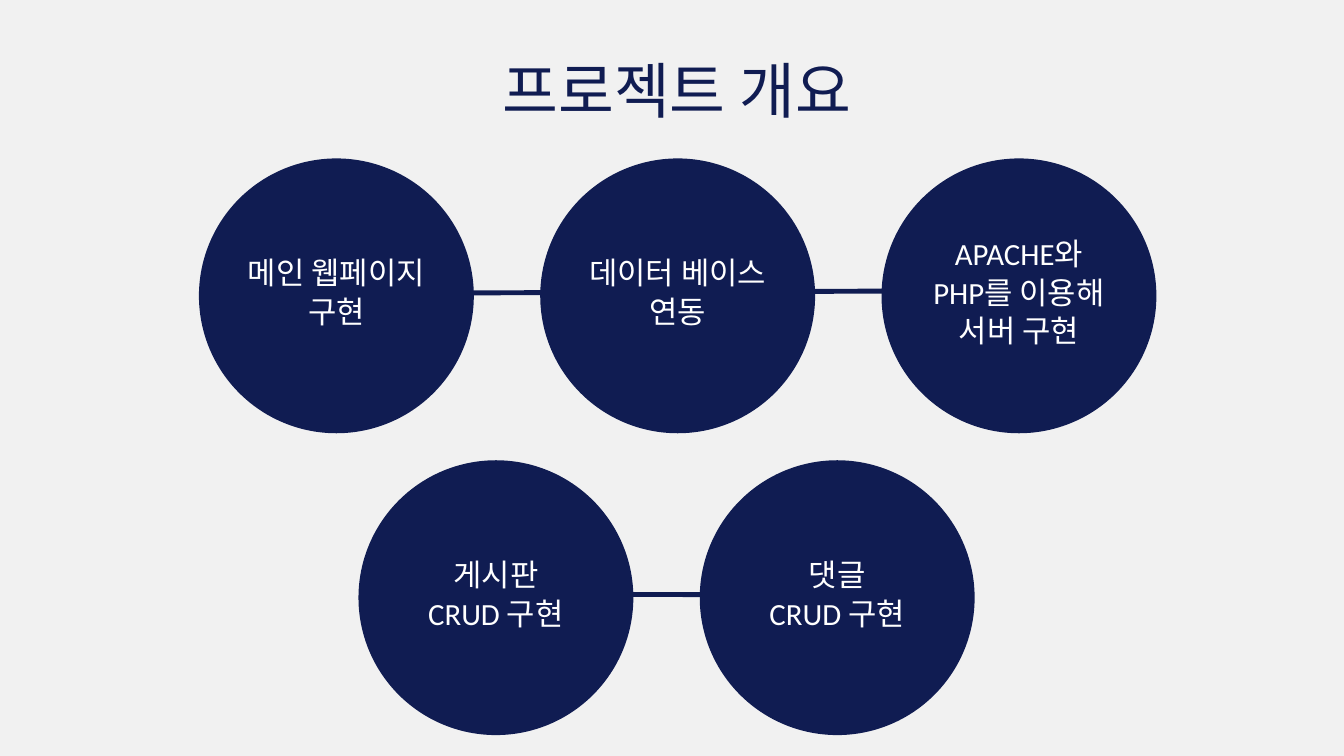
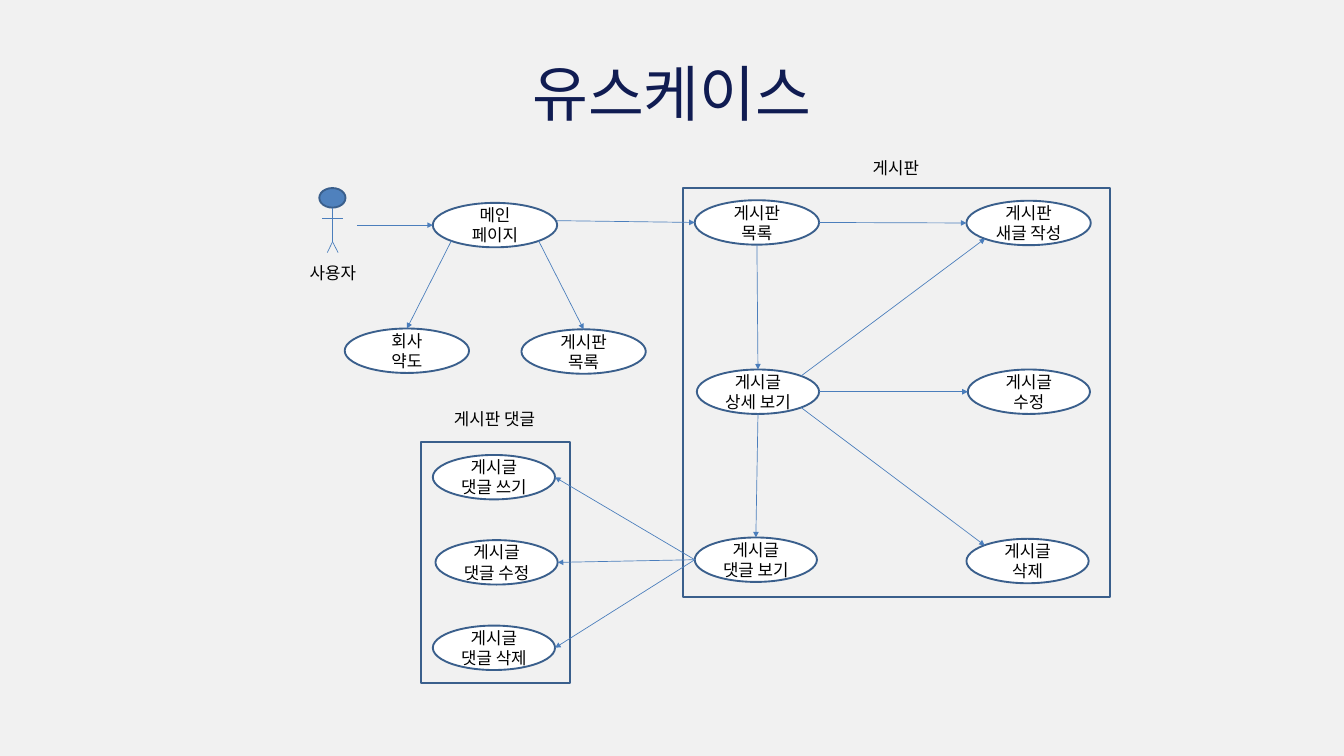
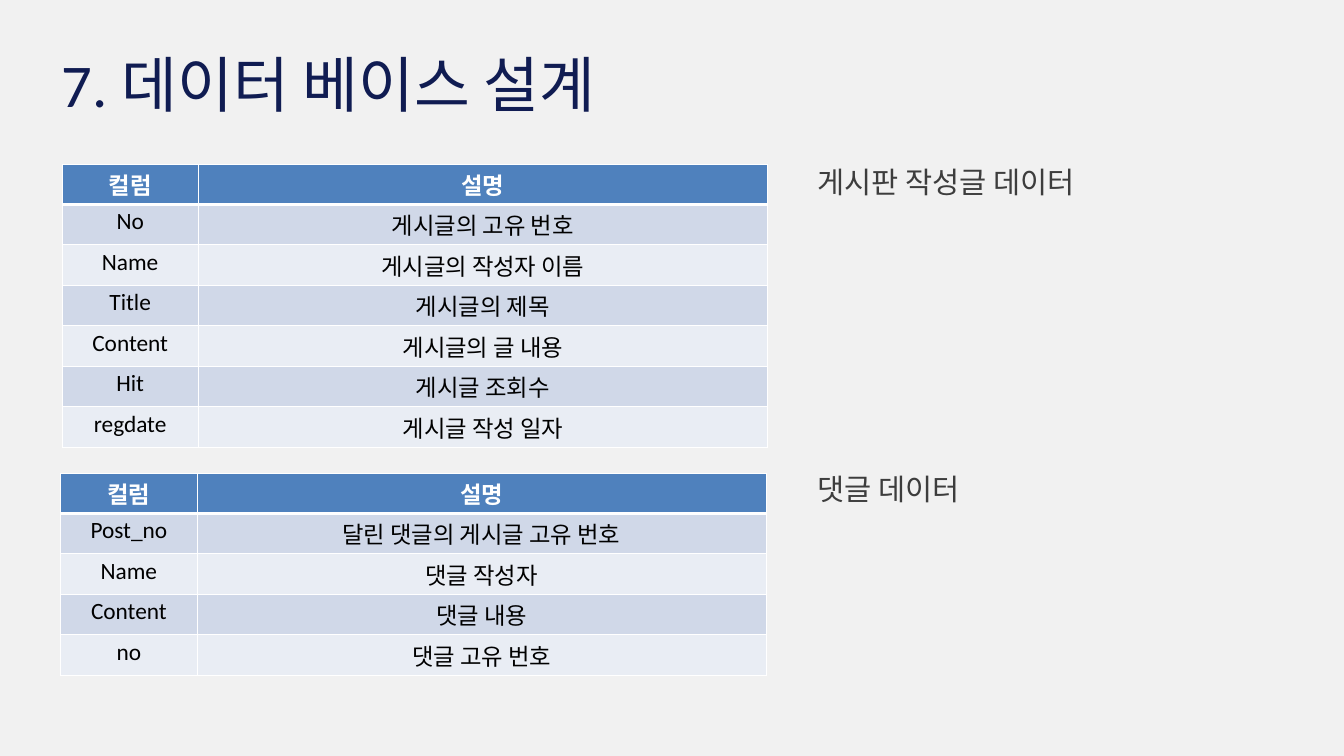
"""Builds three project slides: overview circles, a use case diagram and table designs."""
import pptx
import pptx.chart.data
import pptx.dml.color
import pptx.enum.shapes
import pptx.enum.text
import pptx.oxml
import pptx.oxml.ns
import pptx.util

Cm = pptx.util.Cm
Pt = pptx.util.Pt
RGBColor = pptx.dml.color.RGBColor
Shape = pptx.enum.shapes.MSO_SHAPE
Align = pptx.enum.text.PP_ALIGN
Anchor = pptx.enum.text.MSO_ANCHOR

PAPER = RGBColor(0xF1, 0xF1, 0xF1)
NAVY = RGBColor(0x10, 0x1C, 0x52)
BLUE = RGBColor(0x4F, 0x81, 0xBD)
OUTLINE = RGBColor(0x3A, 0x5F, 0x8C)
ARROW = RGBColor(0x4B, 0x7E, 0xBC)
BAND_DARK = RGBColor(0xD0, 0xD8, 0xE8)
BAND_LIGHT = RGBColor(0xE9, 0xED, 0xF4)
GREY = RGBColor(0x3D, 0x3D, 0x3D)
WHITE = RGBColor(0xFF, 0xFF, 0xFF)
BLACK = RGBColor(0, 0, 0)
LATIN = "Calibri"
HANGUL = "Noto Sans CJK KR"

CIRCLE_SIZE, CIRCLE_PITCH = 10.39, 12.9
GOAL_ROWS = [
    (7.52, 5.99, ["메인 웹페이지 구현", "데이터 베이스\n연동", "APACHE와\nPHP를 이용해\n서버 구현"]),
    (13.55, 17.4, ["게시판\nCRUD 구현", "댓글\nCRUD 구현"]),
]
GOAL_LINKS = [((12.07, 11.1), (34.29, 11)), ((13.64, 22.45), (36.5, 22.5))]

FRAMES = [(15.93, 16.71, 5.61, 9.12), (25.81, 7.11, 16.13, 15.47)]
OVAL_HEIGHT = 1.68
USE_CASES = {
    "main": (16.36, 7.67, 4.7, "메인\n페이지"),
    "map": (13.03, 12.42, 4.7, "회사\n약도"),
    "shortcut": (19.71, 12.45, 4.7, "게시판\n목록"),
    "list": (26.26, 7.57, 4.7, "게시판\n목록"),
    "new": (36.53, 7.59, 4.7, "게시판\n새글 작성"),
    "detail": (26.34, 13.97, 4.62, "게시글\n상세 보기"),
    "edit": (36.58, 13.97, 4.62, "게시글\n수정"),
    "delete": (36.53, 20.37, 4.62, "게시글\n삭제"),
    "comments": (26.26, 20.32, 4.62, "게시글\n댓글 보기"),
    "write": (16.36, 17.2, 4.62, "게시글\n댓글 쓰기"),
    "revise": (16.46, 20.42, 4.62, "게시글\n댓글 수정"),
    "remove": (16.36, 23.65, 4.62, "게시글\n댓글 삭제"),
}
SIDES = {
    "top": (0.5, 0), "bottom": (0.5, 1), "left": (0, 0.5), "right": (1, 0.5),
    "upper left": (0.15, 0.15), "upper right": (0.85, 0.15),
    "lower left": (0.15, 0.85), "lower right": (0.85, 0.85), "high right": (1, 0.4),
}
FLOWS = [
    ("main", "high right", "list", "left"),
    ("main", "lower right", "shortcut", "top"),
    ("main", "lower left", "map", "top"),
    ("list", "bottom", "detail", "top"),
    ("list", "right", "new", "left"),
    ("detail", "upper right", "new", "lower left"),
    ("detail", "right", "edit", "left"),
    ("detail", "lower right", "delete", "upper left"),
    ("detail", "bottom", "comments", "top"),
    ("comments", "left", "write", "right"),
    ("comments", "left", "revise", "right"),
    ("comments", "left", "remove", "right"),
]
USER_HEAD = (12.07, 7.11, 0.99, 0.74)
USER_LIMBS = [
    ((12.57, 7.85), (12.57, 9.14)),
    ((12.95, 8.26), (12.17, 8.26)),
    ((12.37, 9.55), (12.57, 9.14)),
    ((12.78, 9.55), (12.57, 9.14)),
]
USER_ARROW = ((13.49, 8.51), (16.36, 8.51))
LABELS = [
    ("사용자", (11.35, 9.8, 2.46, 1.02)),
    ("게시판", (31.5, 5.82, 4.72, 1.02)),
    ("게시판 댓글", (16.33, 15.32, 4.72, 1.02)),
]

HEADER = ("컬럼", "설명")
COLUMN_WIDTHS = (5.16, 21.5)
ROW_HEIGHT = 1.31
TABLES = [
    ("게시판 작성글 데이터", (30.91, 6.2), (2.34, 6.2), [
        ("No", "게시글의 고유 번호"), ("Name", "게시글의 작성자 이름"),
        ("Title", "게시글의 제목"), ("Content", "게시글의 글 내용"),
        ("Hit", "게시글 조회수"), ("regdate", "게시글 작성 일자"),
    ]),
    ("댓글 데이터", (30.91, 17.81), (2.29, 17.88), [
        ("Post_no", "달린 댓글의 게시글 고유 번호"), ("Name", "댓글 작성자"),
        ("Content", "댓글 내용"), ("no", "댓글 고유 번호"),
    ]),
]


def lengths(values):
    return [Cm(value) for value in values]


def write(frame, text, size, color, font=LATIN, align=Align.CENTER, spacing=None, bold=False):
    frame.text = text
    for para in frame.paragraphs:
        para.alignment = align
        if spacing:
            para.line_spacing = Pt(spacing)
        for span in para.runs:
            span.font.name, span.font.size, span.font.bold = font, Pt(size), bold
            span.font.color.rgb = color


def set_frame(frame, anchor=Anchor.TOP, left=0, top=0, right=0, bottom=0):
    frame.word_wrap = True
    frame.auto_size = pptx.enum.text.MSO_AUTO_SIZE.NONE
    frame.vertical_anchor = anchor
    frame.margin_left, frame.margin_top, frame.margin_right, frame.margin_bottom = lengths(
        (left, top, right, bottom))


def add_page(deck, title, place, align=Align.CENTER):
    page = deck.slides.add_slide(deck.slide_layouts[5])
    box = page.shapes.title
    box.left, box.top, box.width, box.height = lengths(place)
    set_frame(box.text_frame)
    write(box.text_frame, title, 65, NAVY, align=align, spacing=78)
    return page


def add_figure(page, kind, place, fill, outline=None):
    figure = page.shapes.add_shape(kind, *lengths(place))
    figure.shadow.inherit = False
    figure.fill.solid()
    figure.fill.fore_color.rgb = fill
    if outline is None:
        figure.line.fill.background()
    else:
        figure.line.color.rgb = outline
        figure.line.width = Pt(2)
    return figure


def add_line(page, start, end, color=ARROW, width=0.75, arrow=False):
    line = page.shapes.add_connector(
        pptx.enum.shapes.MSO_CONNECTOR.STRAIGHT, *lengths(start + end))
    line.line.color.rgb = color
    line.line.width = Pt(width)
    if arrow:
        pptx.oxml.ns.qn("a:tailEnd")
        head = line.line._get_or_add_ln().makeelement(
            pptx.oxml.ns.qn("a:tailEnd"), {"type": "triangle"})
        line.line._get_or_add_ln().append(head)
    properties = line._element.spPr
    properties.append(properties.makeelement(pptx.oxml.ns.qn("a:effectLst"), {}))


def add_text(page, text, place, **style):
    box = page.shapes.add_textbox(*lengths(place))
    set_frame(box.text_frame, top=style.pop("top", 0))
    write(box.text_frame, text, **style)


def set_borders(cell, bottom):
    properties = cell._tc.get_or_add_tcPr()
    for index, (side, width) in enumerate((("L", 1), ("R", 1), ("T", 1), ("B", bottom))):
        properties.insert(index, pptx.oxml.parse_xml(
            f'<a:ln{side} {pptx.oxml.ns.nsdecls("a")} w="{Pt(width)}">'
            f'<a:solidFill><a:srgbClr val="{WHITE}"/></a:solidFill></a:ln{side}>'))


def add_grid(page, corner, records):
    rows = [HEADER] + records
    size = (sum(COLUMN_WIDTHS), ROW_HEIGHT * len(rows))
    table = page.shapes.add_table(len(rows), len(HEADER), *lengths(corner + size)).table
    for column, width in zip(table.columns, COLUMN_WIDTHS):
        column.width = Cm(width)
    for number, row in enumerate(rows):
        table.rows[number].height = Cm(ROW_HEIGHT)
        is_header = number == 0
        band = BLUE if is_header else BAND_DARK if number % 2 else BAND_LIGHT
        for position, text in enumerate(row):
            cell = table.cell(number, position)
            cell.fill.solid()
            cell.fill.fore_color.rgb = band
            set_borders(cell, 3 if is_header else 1)
            write(cell.text_frame, text, 25, WHITE if is_header else BLACK, bold=is_header)


def build_overview(deck):
    page = add_page(deck, "프로젝트 개요", (12.5, 2.01, 26.16, 2.74))
    for start, end in GOAL_LINKS:
        add_line(page, start, end, NAVY, 5.25)
    for left, top, goals in GOAL_ROWS:
        for index, goal in enumerate(goals):
            place = (left + index * CIRCLE_PITCH, top, CIRCLE_SIZE, CIRCLE_SIZE)
            circle = add_figure(page, Shape.OVAL, place, NAVY)
            set_frame(circle.text_frame, Anchor.MIDDLE, bottom=0.36)
            write(circle.text_frame, goal, 33, WHITE, spacing=41.2)


def side_point(name, side):
    left, top, width, _ = USE_CASES[name]
    across, down = SIDES[side]
    return left + across * width, top + down * OVAL_HEIGHT


def build_use_cases(deck):
    page = add_page(deck, "유스케이스", (12.32, 2.13, 26.16, 2.74))
    for place in FRAMES:
        add_figure(page, Shape.FLOWCHART_PROCESS, place, PAPER, OUTLINE)
    add_figure(page, Shape.OVAL, USER_HEAD, BLUE, OUTLINE)
    for start, end in USER_LIMBS:
        add_line(page, start, end)
    for left, top, width, text in USE_CASES.values():
        oval = add_figure(page, Shape.OVAL, (left, top, width, OVAL_HEIGHT), WHITE, OUTLINE)
        set_frame(oval.text_frame, Anchor.MIDDLE)
        write(oval.text_frame, text, 18, BLACK, HANGUL)
    add_line(page, *USER_ARROW, arrow=True)
    for source, exit_side, target, entry_side in FLOWS:
        add_line(page, side_point(source, exit_side), side_point(target, entry_side), arrow=True)
    for text, place in LABELS:
        add_text(page, text, place, size=18, color=BLACK, font=HANGUL, top=0.13)


def build_tables(deck):
    page = add_page(deck, "7. 데이터 베이스 설계", (2.34, 1.78, 22.23, 2.74), Align.LEFT)
    for caption, caption_corner, table_corner, records in TABLES:
        add_grid(page, table_corner, records)
        add_text(page, caption, caption_corner + (16.71, 1.32), size=31.6, color=GREY,
                 align=Align.LEFT, spacing=37.9)


def main():
    deck = pptx.Presentation()
    deck.slide_width, deck.slide_height = Cm(50.8), Cm(28.58)
    backdrop = deck.slide_master.background.fill
    backdrop.solid()
    backdrop.fore_color.rgb = PAPER
    build_overview(deck)
    build_use_cases(deck)
    build_tables(deck)
    deck.save("out.pptx")


if __name__ == "__main__":
    main()
